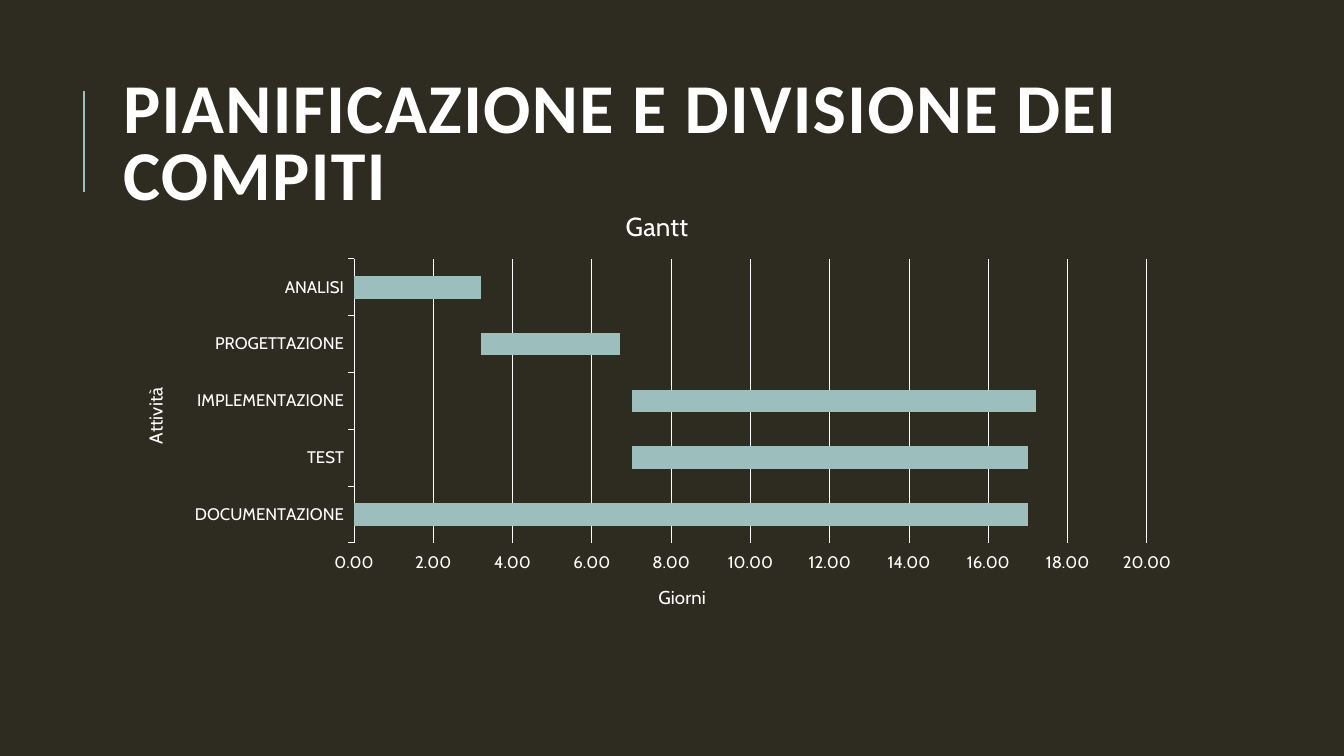
"""Build a dark slide with a Gantt chart of the project phases."""
import pptx
import pptx.chart.data
import pptx.dml.color
import pptx.enum.chart
import pptx.enum.shapes
import pptx.enum.text
import pptx.oxml
import pptx.oxml.ns
import pptx.util

TITLE = "PIANIFICAZIONE E DIVISIONE DEI COMPITI"
CHART_TITLE, CAT_TITLE, VAL_TITLE = "Gantt", "Attività", "Giorni"
PHASES = [
    ("DOCUMENTAZIONE", 0, 17),
    ("TEST", 7, 10),
    ("IMPLEMENTAZIONE", 7, 10.2),
    ("PROGETTAZIONE", 3.2, 3.5),
    ("ANALISI", 0, 3.2),
]
COLORS = {"bg": "2E2B21", "text": "FFFFFF", "bar": "9CBEBD"}
TITLE_BOX = (113, 64, 1139, 165)
CHART_BOX = (121, 190, 1072, 444)
PLOT_BOX = (354, 259, 793, 284)
CHART_TITLE_AT = (621, 204)
VAL_TITLE_AT = (655, 581)
SCALE = 914400 / 100.8


def px(n):
    return pptx.util.Emu(round(n * SCALE))


def color(name):
    return pptx.dml.color.RGBColor.from_string(COLORS[name])


def style_font(font, size, name="Cabin", bold=False):
    font.size, font.name, font.bold = pptx.util.Pt(size), name, bold
    font.color.rgb = color("text")


def style_line(line, name, width):
    line.color.rgb = color(name)
    line.width = pptx.util.Pt(width)


def place(element, index, box, inner=False):
    """Put a manual layout, given in slide px, into a chart element."""
    for old in element.findall(pptx.oxml.ns.qn("c:layout")):
        element.remove(old)
    left, top, width, height = CHART_BOX
    offsets = (left, top, 0, 0)
    sizes = (width, height, width, height)
    parts = '<c:layoutTarget val="inner"/>' if inner else ""
    parts += '<c:xMode val="edge"/><c:yMode val="edge"/>'
    for tag, value, offset, size in zip("xywh", box, offsets, sizes):
        parts += f'<c:{tag} val="{(value - offset) / size:.4f}"/>'
    element.insert(index, pptx.oxml.parse_xml(
        f'<c:layout {pptx.oxml.ns.nsdecls("c")}>'
        f'<c:manualLayout>{parts}</c:manualLayout></c:layout>'))


def write_title(title, text, size):
    title.text_frame.text = text
    style_font(title.text_frame.paragraphs[0].runs[0].font, size)


def add_title(s):
    sp = s.shapes.title
    sp.left, sp.top, sp.width, sp.height = map(px, TITLE_BOX)
    tf = sp.text_frame
    tf.text = TITLE
    tf.word_wrap = True
    tf.auto_size = pptx.enum.text.MSO_AUTO_SIZE.NONE
    tf.vertical_anchor = pptx.enum.text.MSO_ANCHOR.MIDDLE
    p = tf.paragraphs[0]
    p.alignment = pptx.enum.text.PP_ALIGN.LEFT
    p.line_spacing = 0.8
    r = p.runs[0]
    style_font(r.font, 50, "Calibri", True)
    r.font._element.set("spc", "100")


def add_accent(s):
    line = s.shapes.add_connector(
        pptx.enum.shapes.MSO_CONNECTOR.STRAIGHT, px(84), px(192), px(84), px(91))
    style_line(line.line, "bar", 1.5)
    line._element.spPr.append(pptx.oxml.parse_xml(
        f'<a:effectLst {pptx.oxml.ns.nsdecls("a")}/>'))


def add_gantt(s):
    names, starts, days = zip(*PHASES)
    data = pptx.chart.data.CategoryChartData()
    data.categories = names
    data.add_series("Series 1", starts)
    data.add_series("Series 2", days)
    chart = s.shapes.add_chart(
        pptx.enum.chart.XL_CHART_TYPE.BAR_STACKED, *map(px, CHART_BOX), data).chart
    style_font(chart.font, 10)
    chart.has_legend = False
    chart.has_title = True
    write_title(chart.chart_title, CHART_TITLE, 18.6)
    place(chart.chart_title._element, 1, CHART_TITLE_AT)

    plot = chart.plots[0]
    plot.gap_width, plot.overlap, plot.vary_by_categories = 150, 100, False
    offset, bars = plot.series
    offset.format.fill.background()
    offset.format.line.fill.background()
    bars.format.fill.solid()
    bars.format.fill.fore_color.rgb = color("bar")
    place(chart._chartSpace.chart.plotArea, 0, PLOT_BOX, True)

    cat, val = chart.category_axis, chart.value_axis
    for axis, text in ((cat, CAT_TITLE), (val, VAL_TITLE)):
        style_font(axis.tick_labels.font, 12)
        axis.major_tick_mark = pptx.enum.chart.XL_TICK_MARK.OUTSIDE
        axis.minor_tick_mark = pptx.enum.chart.XL_TICK_MARK.NONE
        axis.has_title = True
        write_title(axis.axis_title, text, 13.3)
    cat.axis_title._element.xpath(".//a:bodyPr")[0].set("rot", "-5400000")
    place(val.axis_title._element, 1, VAL_TITLE_AT)
    cat.has_major_gridlines = False
    style_line(cat.format.line, "text", 0.75)
    val.has_major_gridlines = True
    style_line(val.major_gridlines.format.line, "text", 0.75)
    val.format.line.fill.background()
    val.minimum_scale, val.maximum_scale, val.major_unit = 0, 20, 2
    val.tick_labels.number_format = "0.00"
    val.tick_labels.number_format_is_linked = False


def main():
    prs = pptx.Presentation()
    prs.slide_width, prs.slide_height = px(1344), px(756)
    s = prs.slides.add_slide(prs.slide_layouts[5])
    s.background.fill.solid()
    s.background.fill.fore_color.rgb = color("bg")
    add_accent(s)
    add_title(s)
    add_gantt(s)
    prs.save("out.pptx")


if __name__ == "__main__":
    main()
